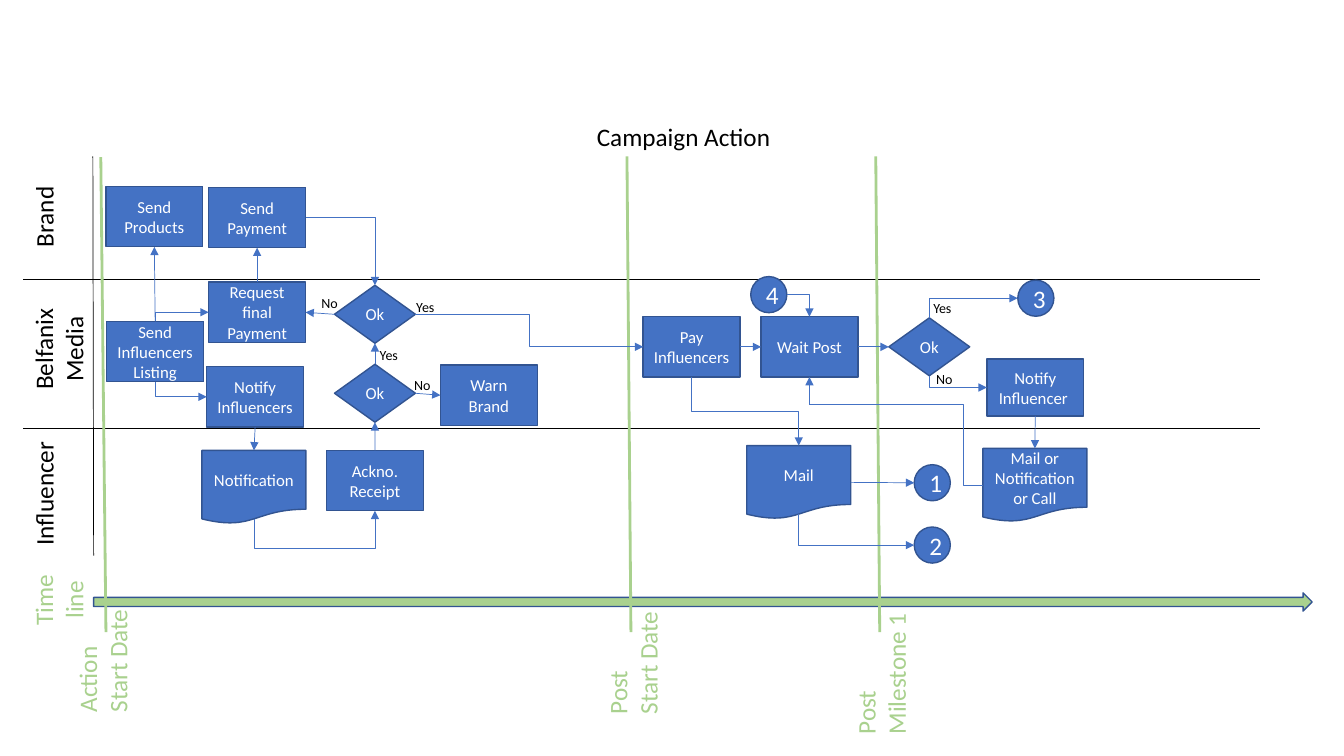
from dataclasses import dataclass

from pptx import Presentation
from pptx.dml.color import RGBColor
from pptx.enum.shapes import MSO_CONNECTOR, MSO_SHAPE
from pptx.enum.text import MSO_ANCHOR, MSO_AUTO_SIZE, PP_ALIGN
from pptx.oxml.ns import qn
from pptx.util import Cm, Pt
from lxml.etree import SubElement


@dataclass(frozen=True)
class Theme:
    font: str = "Calibri"
    ink: RGBColor = RGBColor(0, 0, 0)
    paper: RGBColor = RGBColor(255, 255, 255)
    blue: RGBColor = RGBColor(0x44, 0x72, 0xC4)
    outline: RGBColor = RGBColor(0x32, 0x54, 0x91)
    green: RGBColor = RGBColor(0xA9, 0xD1, 0x8E)
    heading: int = 18
    step: int = 12
    answer: int = 10
    thin: float = 0.5
    edge: float = 1
    marker: float = 2


THEME = Theme()
TITLE = "Campaign Action"
LEFT, CENTER = PP_ALIGN.LEFT, PP_ALIGN.CENTER

KINDS = {
    "process": (MSO_SHAPE.FLOWCHART_PROCESS, 2.44, 1.52, THEME.step),
    "notice": (MSO_SHAPE.FLOWCHART_PROCESS, 2.44, 1.43, THEME.step),
    "document": (MSO_SHAPE.FLOWCHART_DOCUMENT, 2.62, 1.85, THEME.step),
    "decision": (MSO_SHAPE.FLOWCHART_DECISION, 2.04, 1.46, THEME.step),
    "circle": (MSO_SHAPE.FLOWCHART_CONNECTOR, 0.91, 0.91, THEME.heading),
}

NODES = {
    "send payment": ("process", 5.26, 4.72, ["Send Payment"]),
    "pay": ("process", 16.21, 7.98, ["Pay Influencers"]),
    "request": ("process", 5.26, 7.11, ["Request final Payment"]),
    "payment ok": ("decision", 8.43, 7.19, ["Ok"]),
    "reminder": ("document", 24.77, 11.3, ["Mail or", "Notification or Call"]),
    "mail": ("document", 18.82, 11.23, ["Mail"]),
    "one": ("circle", 23.04, 11.71, ["1"]),
    "two": ("circle", 23.04, 13.28, ["2"]),
    "post ok": ("decision", 22.4, 8.01, ["Ok"]),
    "three": ("circle", 25.65, 7.06, ["3"]),
    "notify one": ("notice", 24.87, 9.05, ["Notify", "Influencer "]),
    "four": ("circle", 18.92, 6.97, ["4"]),
    "notify all": ("process", 5.21, 9.24, ["Notify Influencers"]),
    "listing": ("process", 2.69, 8.1, ["Send Influencers Listing"]),
    "products": ("process", 2.67, 4.7, ["Send Products"]),
    "notification": ("document", 5.09, 11.35, ["Notification"]),
    "receipt": ("process", 8.23, 11.35, ["Ackno. Receipt"]),
    "wait": ("process", 19.18, 7.98, ["Wait Post"]),
    "receipt ok": ("decision", 8.43, 9.18, ["Ok"]),
    "warn": ("process", 11.1, 9.2, ["Warn Brand"]),
}

STRAIGHT = [
    ("request", "top", "send payment", "bottom"),
    ("payment ok", "left", "request", "right"),
    ("mail", "right", "one", "left"),
    ("notify one", "bottom", "reminder", "top"),
    ("listing", "top", "products", "bottom"),
    ("notify all", "bottom", "notification", "top"),
    ("receipt", "top", "receipt ok", "bottom"),
    ("pay", "right", "wait", "left"),
    ("wait", "right", "post ok", "left"),
    ("receipt ok", "right", "warn", "left"),
    ("receipt ok", "top", "payment ok", "bottom"),
]
BENT = [
    ("send payment", "right", "payment ok", "top", None),
    ("post ok", "top", "three", "left", None),
    ("post ok", "bottom", "notify one", "left", None),
    ("four", "right", "wait", "top", None),
    ("listing", "bottom", "notify all", "left", None),
    ("listing", "top", "request", "left", None),
    ("mail", "bottom", "two", "left", None),
    ("notification", "bottom", "receipt", "bottom", 13.82),
    ("payment ok", "right", "pay", "left", 13.34),
    ("pay", "bottom", "mail", "top", 10.36),
]
RETURN_POINT, RETURN_BEND = (20.4, 10.19), 24.28

LANE_LINES = [((0.58, 7.04), (31.75, 7.04)), ((0.58, 10.8), (31.75, 10.8)),
              ((2.34, 3.94), (2.36, 14))]
MILESTONES = [((2.67, 15.93), (2.54, 3.96)), ((15.9, 15.93), (15.8, 3.94)),
              ((22.17, 15.93), (22.07, 3.94))]
SIDE_LABELS = [
    (0.08, 4.93, 2.06, 1.03, THEME.ink, [("Brand", LEFT)]),
    (-0.02, 7.9, 3, 1.8, THEME.ink, [("Belfanix", CENTER), ("Media", CENTER)]),
    (-0.48, 11.89, 3.18, 1.03, THEME.ink, [("Influencer", LEFT)]),
    (0.58, 14.22, 1.8, 1.8, THEME.green, [("Time", LEFT), ("line", CENTER)]),
    (1.04, 15.75, 3.1, 1.8, THEME.green, [("Action", LEFT), ("Start Date", LEFT)]),
    (14.35, 15.75, 3.2, 1.8, THEME.green, [("Post", LEFT), ("Start Date", LEFT)]),
    (20.4, 16.05, 3.61, 1.8, THEME.green, [("Post", LEFT), ("Milestone 1", LEFT)]),
]
ANSWERS = [("No", 23.34, 9.22), ("Yes", 23.27, 7.42), ("No", 7.85, 7.29),
           ("Yes", 10.24, 7.39), ("Yes", 9.32, 8.61), ("No", 10.19, 9.37)]


def write(frame, lines, size, color):
    for index, (text, alignment) in enumerate(lines):
        para = frame.paragraphs[0] if index == 0 else frame.add_paragraph()
        para.text, para.alignment = text, alignment
        para.font.name, para.font.size = THEME.font, Pt(size)
        para.font.color.rgb = color


def add_block(page, preset, left, top, width, height, fill):
    block = page.shapes.add_shape(preset, Cm(left), Cm(top), Cm(width), Cm(height))
    block.shadow.inherit = False
    block.fill.solid()
    block.fill.fore_color.rgb = fill
    block.line.color.rgb, block.line.width = THEME.outline, Pt(THEME.edge)
    return block


def add_label(page, left, top, width, height, lines, size, color, wrap):
    box = page.shapes.add_textbox(Cm(left), Cm(top), Cm(width), Cm(height))
    box.text_frame.word_wrap = wrap
    box.text_frame.auto_size = MSO_AUTO_SIZE.SHAPE_TO_FIT_TEXT
    write(box.text_frame, lines, size, color)
    return box


def add_line(page, start, end, color, weight, arrow=False, kind=MSO_CONNECTOR.STRAIGHT):
    line = page.shapes.add_connector(kind, *(Cm(value) for value in (*start, *end)))
    line.line.color.rgb, line.line.width = color, Pt(weight)
    if arrow:
        SubElement(line.line._get_or_add_ln(), qn("a:tailEnd"), type="triangle")
    SubElement(line._element.spPr, qn("a:effectLst"))
    return line


def add_elbow(page, start, end, upright, bend=None, arrow=True):
    (x1, y1), (x2, y2) = start, end
    along, across, turn = x2 - x1, y2 - y1, 0
    if upright:
        turn = 270 if y2 > y1 else 90
        along, across = (y1 - y2, x2 - x1) if turn == 270 else (y2 - y1, x1 - x2)
    middle = ((x1 + x2) / 2, (y1 + y2) / 2)
    near = (middle[0] - along / 2, middle[1] - across / 2)
    far = (middle[0] + along / 2, middle[1] + across / 2)
    elbow = add_line(page, near, far, THEME.blue, THEME.thin, arrow, MSO_CONNECTOR.ELBOW)
    properties = elbow._element.spPr
    if turn:
        properties.find(qn("a:xfrm")).set("rot", str(turn * 60000))
    geometry = properties.find(qn("a:prstGeom"))
    if bend is None:
        geometry.set("prst", "bentConnector2")
    else:
        ratio = (bend - start[upright]) / (end[upright] - start[upright])
        guides = geometry.find(qn("a:avLst"))
        SubElement(guides, qn("a:gd"), name="adj1", fmla=f"val {round(ratio * 100000)}")


def port(name, side):
    kind, left, top, _ = NODES[name]
    _, width, height, _ = KINDS[kind]
    depth = 0.93 if kind == "document" else 1
    x, y = {"top": (0.5, 0), "left": (0, 0.5), "bottom": (0.5, depth), "right": (1, 0.5)}[side]
    return left + width * x, top + height * y


def site(name, side):
    index = ("top", "left", "bottom", "right").index(side)
    return index * 2 if NODES[name][0] == "circle" else index


def main():
    deck = Presentation()
    deck.slide_width, deck.slide_height = Cm(33.87), Cm(19.05)
    page = deck.slides.add_slide(deck.slide_layouts[5])

    title = page.shapes.title
    title.left, title.top, title.width, title.height = Cm(2.34), Cm(2.92), Cm(29.77), Cm(1.03)
    title.text_frame.word_wrap = True
    title.text_frame.auto_size = MSO_AUTO_SIZE.NONE
    title.text_frame.vertical_anchor = MSO_ANCHOR.TOP
    write(title.text_frame, [(TITLE, CENTER)], THEME.heading, THEME.ink)

    for start, end in LANE_LINES:
        add_line(page, start, end, THEME.ink, THEME.thin)
    add_block(page, MSO_SHAPE.RIGHT_ARROW, 2.36, 14.94, 30.71, 0.46, THEME.green)
    for start, end in MILESTONES:
        add_line(page, start, end, THEME.green, THEME.marker)

    blocks = {}
    for name, (kind, left, top, lines) in NODES.items():
        preset, width, height, size = KINDS[kind]
        block = add_block(page, preset, left, top, width, height, THEME.blue)
        block.text_frame.vertical_anchor = MSO_ANCHOR.MIDDLE
        write(block.text_frame, [(line, CENTER) for line in lines], size, THEME.paper)
        blocks[name] = block

    for source, exit_side, target, entry_side in STRAIGHT:
        start, end = port(source, exit_side), port(target, entry_side)
        arrow = add_line(page, start, end, THEME.blue, THEME.thin, True)
        arrow.begin_connect(blocks[source], site(source, exit_side))
        arrow.end_connect(blocks[target], site(target, entry_side))
        arrow.begin_x, arrow.begin_y = map(Cm, start)
        arrow.end_x, arrow.end_y = map(Cm, end)
    for source, exit_side, target, entry_side, bend in BENT:
        upright = exit_side in ("top", "bottom")
        add_elbow(page, port(source, exit_side), port(target, entry_side), upright, bend)
    add_elbow(page, port("reminder", "left"), RETURN_POINT, False, RETURN_BEND, arrow=False)
    add_line(page, RETURN_POINT, port("wait", "bottom"), THEME.blue, THEME.thin, True)

    for left, top, width, height, color, lines in SIDE_LABELS:
        label = add_label(page, left, top, width, height, lines, THEME.heading, color, False)
        label.rotation = 270
    for text, left, top in ANSWERS:
        add_label(page, left, top, 1.06, 0.68, [(text, LEFT)], THEME.answer, THEME.ink, True)

    deck.save("out.pptx")


if __name__ == "__main__":
    main()
